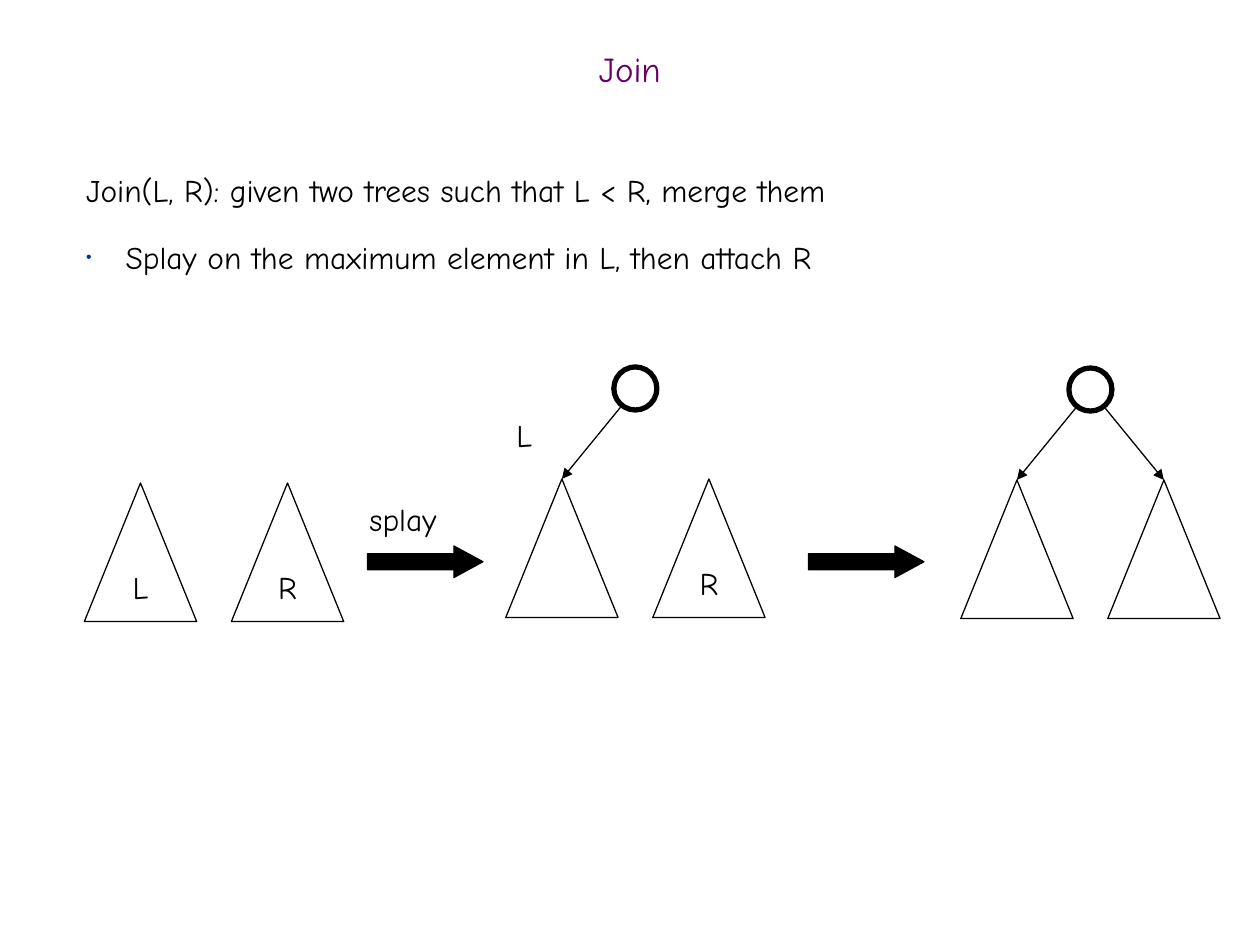
"""Build the slide that shows how two splay trees are joined."""
from dataclasses import dataclass

from lxml.etree import SubElement
from pptx import Presentation
from pptx.dml.color import RGBColor
from pptx.enum.shapes import MSO_CONNECTOR, MSO_SHAPE
from pptx.enum.text import MSO_ANCHOR, MSO_AUTO_SIZE, PP_ALIGN
from pptx.oxml.ns import qn
from pptx.util import Pt

FONT = "Comic Neue"
INK = {"title": "660066", "text": "000000", "bullet": "003399"}
WIDE, HIGH, STEP, NODE = 64.2, 79.2, 84, 24.6


@dataclass
class Pair:
    """Two trees side by side, with edges from a root to some of them."""
    left: float
    top: float
    names: tuple[str, str]
    sides: tuple[int, ...] = ()


@dataclass
class Label:
    """A free word in the drawing."""
    text: str
    left: float
    top: float
    width: float


PAIRS = [
    Pair(48.2, 276, ("L", "R")),
    Pair(289, 273.7, ("", "R"), (-1,)),
    Pair(549, 274.3, ("", ""), (-1, 1)),
]
LABELS = [Label("splay", 204, 282.4, 57), Label("L", 288, 234, 24.5)]
STEPS = (210, 462)


def tint(name: str) -> RGBColor:
    """Return a named colour."""
    return RGBColor.from_string(INK[name])


def style(part, size: float = 18, ink: str = "text") -> None:
    """Set the font of every run in a paragraph."""
    for run in part.runs:
        run.font.name = FONT
        run.font.size = Pt(size)
        run.font.color.rgb = tint(ink)


def place(shape, left: float, top: float, width: float, height: float) -> None:
    """Move and size a shape."""
    shape.left, shape.top = Pt(left), Pt(top)
    shape.width, shape.height = Pt(width), Pt(height)


def draw(slide, kind, left: float, top: float, width: float, height: float,
         line: float = 0.75, solid: bool = False):
    """Draw an outlined preset shape, filled when solid."""
    shape = slide.shapes.add_shape(kind, Pt(left), Pt(top), Pt(width), Pt(height))
    shape.shadow.inherit = False
    if solid:
        shape.fill.solid()
        shape.fill.fore_color.rgb = tint("text")
    else:
        shape.fill.background()
    shape.line.color.rgb = tint("text")
    shape.line.width = Pt(line)
    return shape


def tree(slide, left: float, top: float, name: str) -> None:
    """Draw a triangle with its name, if any."""
    shape = draw(slide, MSO_SHAPE.ISOSCELES_TRIANGLE, left, top, WIDE, HIGH)
    if name:
        frame = shape.text_frame
        frame.text = name
        frame.word_wrap = False
        frame.vertical_anchor = MSO_ANCHOR.MIDDLE
        frame.paragraphs[0].alignment = PP_ALIGN.CENTER
        style(frame.paragraphs[0])


def edge(slide, x: float, y: float, end: float, low: float) -> None:
    """Draw a thin line with an arrowhead at its end."""
    line = slide.shapes.add_connector(
        MSO_CONNECTOR.STRAIGHT, Pt(x), Pt(y), Pt(end), Pt(low))
    line.line.color.rgb = tint("text")
    line.line.width = Pt(0.75)
    SubElement(line.line._get_or_add_ln(), qn("a:tailEnd"), type="triangle")
    SubElement(line._element.spPr, qn("a:effectLst"))


def pair(slide, item: Pair) -> None:
    """Draw two trees and, when they hang on a root, the root and edges."""
    for i, name in enumerate(item.names):
        tree(slide, item.left + i * STEP, item.top, name)
    if item.sides:
        mid = item.left + (WIDE + STEP) / 2
        draw(slide, MSO_SHAPE.OVAL, mid - NODE / 2, item.top - 64, NODE, NODE, 3)
        for side in item.sides:
            edge(slide, mid + side * 8.5, item.top - 41,
                 mid + side * STEP / 2, item.top)


def label(slide, item: Label) -> None:
    """Write a free word."""
    box = slide.shapes.add_textbox(
        Pt(item.left), Pt(item.top), Pt(item.width), Pt(29))
    frame = box.text_frame
    frame.text = item.text
    frame.word_wrap = False
    frame.auto_size = MSO_AUTO_SIZE.SHAPE_TO_FIT_TEXT
    style(frame.paragraphs[0])


def head(title) -> None:
    """Fill the title."""
    place(title, 0, 24, 720, 36)
    frame = title.text_frame
    frame.text = "Join"
    frame.auto_size = MSO_AUTO_SIZE.NONE
    frame.vertical_anchor = MSO_ANCHOR.MIDDLE
    part = frame.paragraphs[0]
    part.alignment = PP_ALIGN.CENTER
    part.line_spacing = 0.7
    style(part, 20, "title")


def body(holder) -> None:
    """Fill the body with a plain line and a bullet."""
    place(holder, 42, 90, 654, 324)
    frame = holder.text_frame
    frame.text = ("Join(L, R): given two trees such that L < R, merge them\n"
                  "Splay on the maximum element in L, then attach R")
    frame.auto_size = MSO_AUTO_SIZE.NONE
    first, point = frame.paragraphs
    plain = first._p.get_or_add_pPr()
    plain.set("marL", "0")
    plain.set("indent", "0")
    SubElement(plain, qn("a:buNone"))
    props = point._p.get_or_add_pPr()
    props.set("marL", str(Pt(22.5)))
    props.set("indent", str(-Pt(22.5)))
    color = SubElement(props, qn("a:buClr"))
    SubElement(color, qn("a:srgbClr"), val=INK["bullet"])
    SubElement(props, qn("a:buSzPct"), val="50000")
    SubElement(props, qn("a:buChar"), char="•")
    for part, gap in ((first, 0), (point, 12)):
        part.line_spacing = Pt(26)
        part.space_before = Pt(gap)
        style(part)


def main() -> None:
    """Build and save the slide."""
    deck = Presentation()
    deck.slide_width, deck.slide_height = Pt(720), Pt(540)
    slide = deck.slides.add_slide(deck.slide_layouts[1])
    head(slide.shapes.title)
    body(slide.placeholders[1])
    for item in PAIRS:
        pair(slide, item)
    for left in STEPS:
        arrow = draw(slide, MSO_SHAPE.RIGHT_ARROW, left, 312, 66, 18, solid=True)
        arrow.adjustments[1] = 0.92
    for item in LABELS:
        label(slide, item)
    deck.save("out.pptx")


if __name__ == "__main__":
    main()
